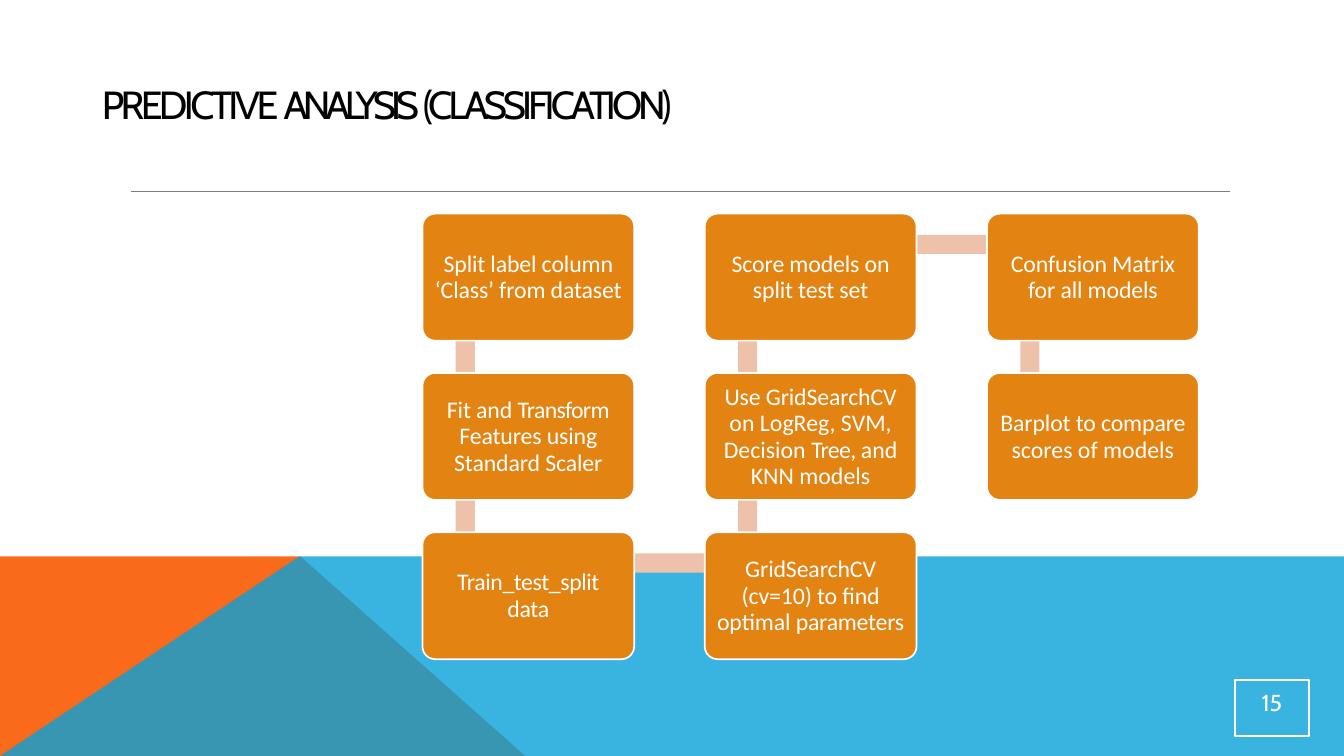
from dataclasses import dataclass

from lxml.etree import SubElement
from pptx import Presentation
from pptx.dml.color import RGBColor
from pptx.enum.shapes import MSO_CONNECTOR, MSO_SHAPE
from pptx.enum.text import MSO_ANCHOR, PP_ALIGN
from pptx.oxml.ns import qn
from pptx.util import Inches, Pt

# Runs are (text, letter spacing in points).
TITLE = [("PREDICTIVE ", -2.5), ("ANALYSIS ", -3.5), ("(CLASSIFICATION)", -2.8)]
PAGE_NUMBER = [("15", 0)]

# Steps in reading order: (column, row, lines of runs).
STEPS = [
    (0, 0, [[("Split label column", -0.1)], [("‘Class’ from dataset", -0.1)]]),
    (0, 1, [[("Fit and ", -0.1), ("Transform", -0.5)],
            [("Features using", -0.1)], [("Standard Scaler", -0.1)]]),
    (0, 2, [[("Train_test_split", -0.3)], [("data", -0.2)]]),
    (1, 2, [[("GridSearchCV", -0.1)], [("(cv=10) to find", -0.1)],
            [("optimal ", -0.1), ("parameters", -0.2)]]),
    (1, 1, [[("Use GridSearchCV", -0.1)], [("on LogReg, SVM,", 0)],
            [("Decision ", 0), ("Tree, ", -0.5), ("and", 0)], [("KNN models", 0)]]),
    (1, 0, [[("Score models on", -0.1)], [("split test set", -0.1)]]),
    (2, 0, [[("Confusion Matrix", -0.1)], [("for all models", -0.1)]]),
    (2, 1, [[("Barplot to compare", -0.1)], [("scores of models", 0)]]),
]

# Bottom panels: (corner points in inches, theme colour name, opacity in percent).
PANELS = [
    ([(0, 7.5), (0, 5.52), (2.98, 5.52), (5.21, 7.5)], "orange", 100),
    ([(0, 7.5), (2.97, 5.52), (13.33, 5.52), (13.33, 7.5)], "blue", 80),
]


@dataclass(frozen=True)
class Theme:
    orange: str = "F96A1B"
    blue: str = "08A1D9"
    box: str = "E28312"
    bar: str = "EDC1AA"
    rule: str = "7D7D7D"
    white: str = "FFFFFF"
    black: str = "000000"
    title_font: str = "Cabin"
    body_font: str = "Calibri"
    title_size: float = 28
    body_size: float = 17
    number_size: float = 16.5


THEME = Theme()

GRID_LEFT, GRID_TOP = 4.19, 2.12
COLUMN_STEP, ROW_STEP = 2.8, 1.58
BOX_WIDTH, BOX_HEIGHT = 2.1, 1.26
BAR_THICKNESS = 0.19
DOWN_BAR_OFFSET = (0.33, 0.32)
ACROSS_BAR_OFFSET = (0.43, 0.21)


def color(value):
    return RGBColor.from_string(value)


def paint(shape, fill=None, line=None, width=1.0):
    """Set fill and outline, with None for neither, and drop the shadow."""
    shape.shadow.inherit = False
    if fill:
        shape.fill.solid()
        shape.fill.fore_color.rgb = color(fill)
    else:
        shape.fill.background()
    if line:
        shape.line.color.rgb = color(line)
        shape.line.width = Pt(width)
    else:
        shape.line.fill.background()


def write(shape, lines, font, size, ink, align=PP_ALIGN.CENTER, leading=None):
    """Fill a shape with one paragraph per line, each a list of spaced runs."""
    frame = shape.text_frame
    frame.word_wrap = False
    frame.vertical_anchor = MSO_ANCHOR.MIDDLE
    frame.margin_left = frame.margin_right = 0
    frame.margin_top = frame.margin_bottom = 0
    for index, runs in enumerate(lines):
        paragraph = frame.paragraphs[0] if index == 0 else frame.add_paragraph()
        paragraph.alignment = align
        if leading:
            paragraph.line_spacing = Pt(leading)
        for text, spacing in runs:
            run = paragraph.add_run()
            run.text = text
            run.font.name = font
            run.font.size = Pt(size)
            run.font.color.rgb = color(ink)
            run.font._element.set("spc", str(round(spacing * 100)))


def add_box(slide, kind, left, top, width, height):
    return slide.shapes.add_shape(
        kind, Inches(left), Inches(top), Inches(width), Inches(height))


def add_panel(slide, points, fill, opacity):
    corners = [(Inches(x), Inches(y)) for x, y in points]
    builder = slide.shapes.build_freeform(*corners[0])
    builder.add_line_segments(corners[1:], close=True)
    panel = builder.convert_to_shape()
    paint(panel, fill)
    if opacity < 100:
        fill_color = panel._element.spPr.find(qn("a:solidFill"))[0]
        SubElement(fill_color, qn("a:alpha")).set("val", str(opacity * 1000))


def grid_position(column, row):
    return GRID_LEFT + column * COLUMN_STEP, GRID_TOP + row * ROW_STEP


def add_bar(slide, start, end):
    """Join two neighbouring steps with a bar that runs behind their boxes."""
    (start_x, start_y), (end_x, end_y) = grid_position(*start), grid_position(*end)
    across = start[0] != end[0]
    offset_x, offset_y = ACROSS_BAR_OFFSET if across else DOWN_BAR_OFFSET
    width = COLUMN_STEP if across else BAR_THICKNESS
    height = BAR_THICKNESS if across else ROW_STEP
    bar = add_box(slide, MSO_SHAPE.RECTANGLE, min(start_x, end_x) + offset_x,
                  min(start_y, end_y) + offset_y, width, height)
    paint(bar, THEME.bar)


def add_step(slide, column, row, lines):
    box = add_box(slide, MSO_SHAPE.ROUNDED_RECTANGLE,
                  *grid_position(column, row), BOX_WIDTH, BOX_HEIGHT)
    box.adjustments[0] = 0.1
    paint(box, THEME.box, THEME.white, 1.2)
    write(box, lines, THEME.body_font, THEME.body_size, THEME.white, leading=19)


def main():
    presentation = Presentation()
    presentation.slide_width, presentation.slide_height = Inches(13.33), Inches(7.5)
    slide = presentation.slides.add_slide(presentation.slide_layouts[6])

    for points, fill, opacity in PANELS:
        add_panel(slide, points, getattr(THEME, fill), opacity)

    rule = slide.shapes.add_connector(
        MSO_CONNECTOR.STRAIGHT, Inches(1.3), Inches(1.9), Inches(12.2), Inches(1.9))
    rule.line.color.rgb = color(THEME.rule)
    rule.line.width = Pt(0.5)
    SubElement(rule._element.spPr, qn("a:effectLst"))

    title = slide.shapes.add_textbox(Inches(1.01), Inches(0.62), Inches(8.66), Inches(0.83))
    write(title, [TITLE], THEME.title_font, THEME.title_size, THEME.black, PP_ALIGN.LEFT)
    title.text_frame.word_wrap = True

    number = add_box(slide, MSO_SHAPE.RECTANGLE, 12.25, 6.75, 0.73, 0.55)
    paint(number, line=THEME.white, width=1.5)
    write(number, [PAGE_NUMBER], THEME.title_font, THEME.number_size, THEME.white, leading=11)

    for start, end in zip(STEPS, STEPS[1:]):
        add_bar(slide, start[:2], end[:2])
    for column, row, lines in STEPS:
        add_step(slide, column, row, lines)

    presentation.save("out.pptx")


if __name__ == "__main__":
    main()
